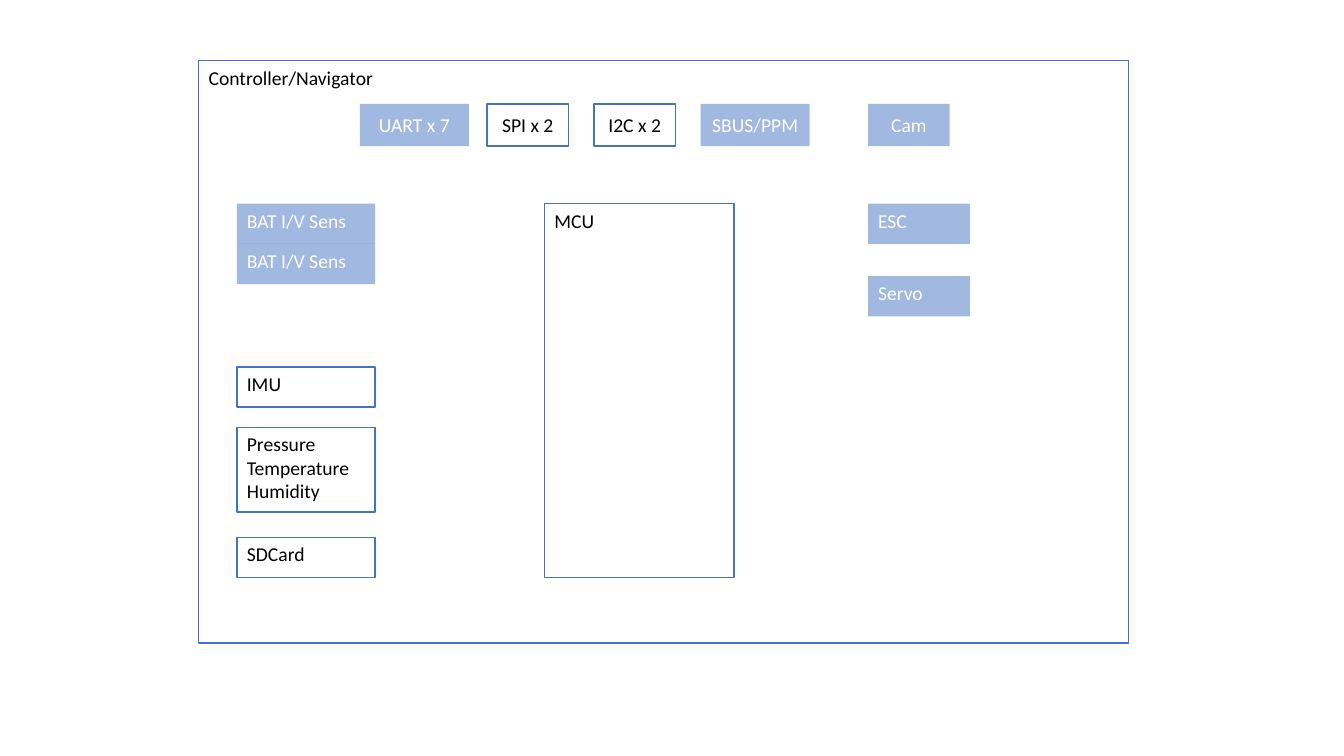
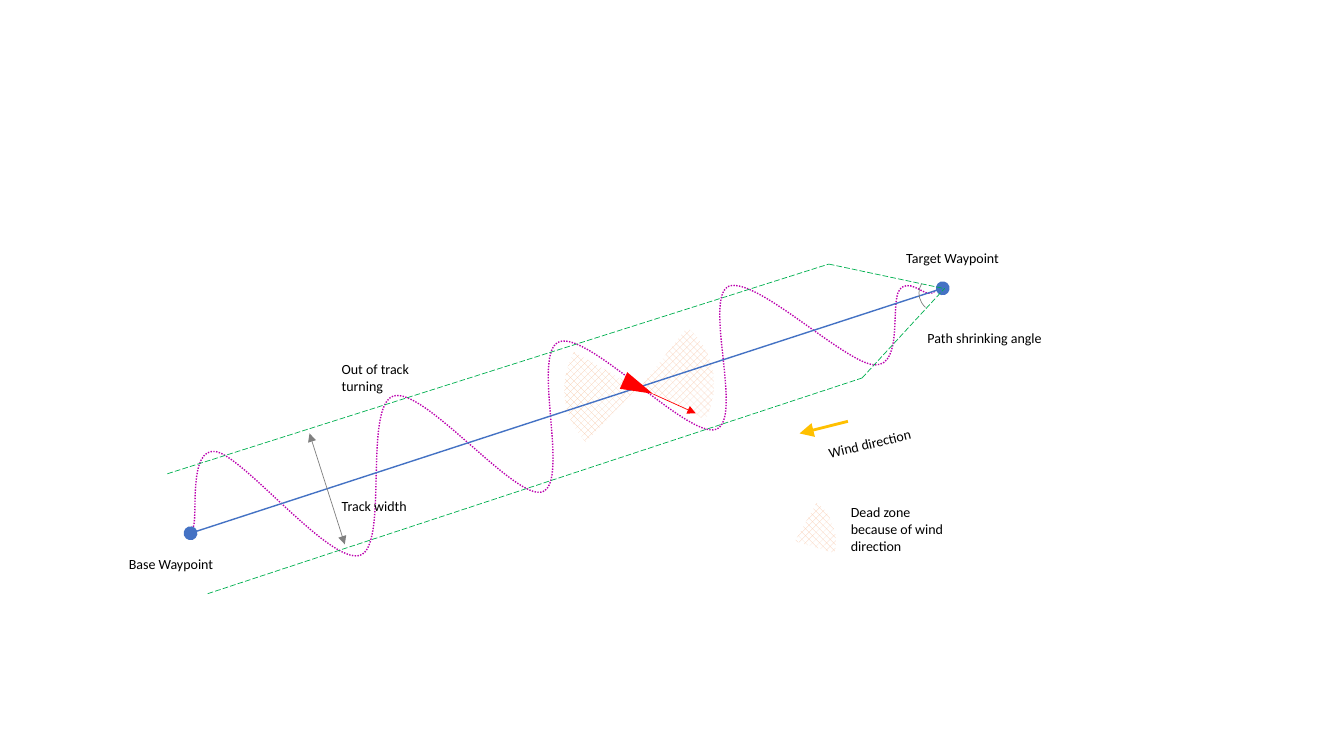
from lxml import etree
from pptx import Presentation
from pptx.dml.color import RGBColor
from pptx.enum.dml import MSO_LINE, MSO_PATTERN
from pptx.enum.shapes import MSO_CONNECTOR, MSO_SHAPE
from pptx.enum.text import MSO_ANCHOR, MSO_AUTO_SIZE, PP_ALIGN
from pptx.oxml.ns import qn
from pptx.util import Pt

PX = 9144  # 100 px to the inch
FONT = "Calibri"
BLUE, WHITE, BLACK = "4472C4", "FFFFFF", "000000"
GREEN, GRAY, RED, AMBER, PURPLE, PEACH = "00B050", "808080", "FF0000", "FFC000", "BC02AF", "F8CBAD"

# Slide 1: (text, left, top, width, height, faded)
FRAMES = [("Controller/Navigator", 197, 60, 922, 578, False), ("MCU", 540, 202, 188, 371, False)]
PORT_TOP, PORT_H = 103, 42
PORTS = [  # text, left, width, faded
    ("UART x 7", 357, 108, True), ("SPI x 2", 483, 81, False), ("I2C x 2", 589, 81, False),
    ("SBUS/PPM", 695, 108, True), ("Cam", 861, 81, True),
]
UNIT_H = 40
COLUMNS = [  # left, width, [(text, top, height, faded)]
    (235, 137, [
        ("BAT I/V Sens", 242, UNIT_H, True), ("BAT I/V Sens", 202, UNIT_H, True),
        ("IMU", 364, UNIT_H, False), ("Pressure Temperature\nHumidity", 424, 84, False),
        ("SDCard", 533, UNIT_H, False),
    ]),
    (861, 101, [("ESC", 202, UNIT_H, True), ("Servo", 274, UNIT_H, True)]),
]

# Slide 2
BASE, TARGET = (189, 529), (935, 286)
UPPER_BEND, LOWER_BEND = (822, 262), (855, 375)
BORDERS = [
    ((166, 470), UPPER_BEND), ((206, 589), LOWER_BEND),
    (UPPER_BEND, TARGET), (LOWER_BEND, (937, 286)),
]
SAILED_START = (188, 528)
SAILED_CURVES = [  # two control points and an end point each
    ((187, 532), (187, 536), (192, 522)), ((196, 509), (187, 444), (214, 448)),
    ((242, 453), (327, 560), (357, 551)), ((386, 542), (360, 404), (390, 393)),
    ((420, 383), (511, 497), (538, 488)), ((566, 478), (526, 349), (555, 339)),
    ((584, 329), (682, 435), (710, 426)), ((738, 417), (697, 295), (723, 284)),
    ((750, 274), (840, 362), (868, 362)), ((896, 363), (883, 300), (892, 288)),
    ((900, 276), (915, 291), (921, 291)), ((927, 291), (927, 289), (927, 288)),
]
WEDGES = [  # box, rotation, adjustments
    ((564, 309, 144, 148), 20.6, (172.47, 4.34)),
    ((560, 311, 144, 148), 20.6, (67.8, 113.5)),
]
LEGEND_WEDGE = ((748, 492, 81, 90), 0, (179.67, 10.04))
LEGEND_LABEL = ("Dead zone because of wind direction", 834, 495, 125, 61, True, 0)
LABELS = [  # text, left, top, width, height, wrap, rotation
    ("Base Waypoint", 118, 546, 106, 27, False, 0),
    ("Target Waypoint", 889, 243, 116, 27, False, 0),
    ("Wind direction", 811, 426, 107, 27, True, 346.3),
    ("Track width", 329, 489, 87, 27, False, 0),
    ("Path shrinking angle", 910, 322, 155, 27, True, 0),
    ("Out of track\nturning", 329, 353, 88, 44, False, 0),
]


def px(*values):
    return [v * PX for v in values]


def rgb(color):
    return RGBColor.from_string(color)


def stroke(line, color, width, dash=None):
    line.color.rgb = rgb(color)
    line.width = Pt(width)
    if dash:
        line.dash_style = dash


def write(tf, text, size, color, align=PP_ALIGN.LEFT):
    """Put each line of text in a paragraph of its own."""
    for i, words in enumerate(text.split("\n")):
        p = tf.paragraphs[0] if i == 0 else tf.add_paragraph()
        p.alignment = align
        r = p.add_run()
        r.text = words
        r.font.name, r.font.size = FONT, Pt(size)
        r.font.color.rgb = rgb(color)


def add_block(shapes, text, left, top, width, height, faded, centred=False):
    """Faded blocks are half-transparent blue, the others outlined white."""
    sp = shapes.add_shape(MSO_SHAPE.RECTANGLE, *px(left, top, width, height))
    sp.shadow.inherit = False
    sp.fill.solid()
    sp.fill.fore_color.rgb = rgb(BLUE if faded else WHITE)
    if faded:
        tint = sp.element.spPr.find(qn("a:solidFill"))[0]
        etree.SubElement(tint, qn("a:alpha")).set("val", "50000")
        sp.line.fill.background()
    else:
        stroke(sp.line, BLUE, 1)
    tf = sp.text_frame
    tf.word_wrap = True
    tf.vertical_anchor = MSO_ANCHOR.MIDDLE if centred else MSO_ANCHOR.TOP
    write(tf, text, 14, WHITE if faded else BLACK, PP_ALIGN.CENTER if centred else PP_ALIGN.LEFT)


def add_figure(shapes, kind, box, rotation, adjustments):
    sp = shapes.add_shape(kind, *px(*box))
    sp.shadow.inherit = False
    sp.rotation = rotation
    for i, value in enumerate(adjustments):
        sp.adjustments[i] = value
    return sp


def add_wedge(shapes, box, rotation, adjustments):
    sp = add_figure(shapes, MSO_SHAPE.PIE, box, rotation, adjustments)
    sp.fill.patterned()
    sp.fill.pattern = MSO_PATTERN.PERCENT_50
    sp.fill.fore_color.rgb = rgb(PEACH)
    sp.fill.back_color.rgb = rgb(WHITE)
    sp.line.fill.background()


def add_line(shapes, start, end, color, width, dash=None, head=None, tail=None, size="med"):
    c = shapes.add_connector(MSO_CONNECTOR.STRAIGHT, *px(*start, *end))
    stroke(c.line, color, width, dash)
    spPr = c.element.spPr
    ln = spPr.find(qn("a:ln"))
    for tag, kind in (("a:headEnd", head), ("a:tailEnd", tail)):
        if kind:
            mark = etree.SubElement(ln, qn(tag))
            for name, value in (("type", kind), ("w", size), ("len", size)):
                mark.set(name, value)
    etree.SubElement(spPr, qn("a:effectLst"))


def add_label(shapes, text, left, top, width, height, wrap, rotation):
    tb = shapes.add_textbox(*px(left, top, width, height))
    tb.rotation = rotation
    tf = tb.text_frame
    tf.word_wrap = wrap
    tf.auto_size = MSO_AUTO_SIZE.SHAPE_TO_FIT_TEXT
    write(tf, text, 10, BLACK)


def add_curve(shapes, start, curves):
    """Build a freeform, then turn every three line segments into one Bezier curve."""
    builder = shapes.build_freeform(*start, scale=PX)
    builder.add_line_segments([point for curve in curves for point in curve], close=False)
    sp = builder.convert_to_shape()
    sp.shadow.inherit = False
    sp.fill.background()
    stroke(sp.line, PURPLE, 1, MSO_LINE.ROUND_DOT)
    segments = list(sp.element.iter(qn("a:lnTo")))
    for i in range(0, len(segments), 3):
        bezier = etree.Element(qn("a:cubicBezTo"))
        segments[i].addprevious(bezier)
        for segment in segments[i:i + 3]:
            bezier.append(segment[0])
            segment.getparent().remove(segment)


def build_controller(s):
    for frame in FRAMES:
        add_block(s.shapes, *frame)
    for text, left, width, faded in PORTS:
        add_block(s.shapes, text, left, PORT_TOP, width, PORT_H, faded, centred=True)
    for left, width, units in COLUMNS:
        for text, top, height, faded in units:
            add_block(s.shapes, text, left, top, width, height, faded)


def build_track(s):
    shapes = s.shapes
    add_curve(shapes, SAILED_START, SAILED_CURVES)
    dead_zone = shapes.add_group_shape().shapes
    for wedge in WEDGES:
        add_wedge(dead_zone, *wedge)
    add_line(shapes, BASE, TARGET, BLUE, 1, head="oval", tail="oval", size="lg")

    boat = shapes.add_group_shape().shapes
    hull = add_figure(boat, MSO_SHAPE.ISOSCELES_TRIANGLE, (624, 368, 18, 32), 114.1, [0.51])
    hull.fill.solid()
    hull.fill.fore_color.rgb = rgb(RED)
    hull.line.fill.background()
    add_line(boat, (648, 391), (690, 410), RED, 0.5, tail="triangle")

    for start, end in BORDERS:
        add_line(shapes, start, end, GREEN, 0.5, MSO_LINE.LONG_DASH)
    add_line(shapes, (841, 418), (793, 430), AMBER, 2, tail="triangle", size="lg")
    add_line(shapes, (307, 430), (342, 540), GRAY, 0.5, head="triangle", tail="triangle")

    legend = shapes.add_group_shape().shapes
    add_wedge(legend, *LEGEND_WEDGE)
    add_label(legend, *LEGEND_LABEL)
    for label in LABELS:
        add_label(shapes, *label)
    angle = add_figure(shapes, MSO_SHAPE.ARC, (911, 274, 39, 36), 211.8, (169.5, 0))
    angle.fill.background()
    stroke(angle.line, GRAY, 0.5)


def main():
    prs = Presentation()
    prs.slide_width, prs.slide_height = px(1333, 750)
    for build in (build_controller, build_track):
        build(prs.slides.add_slide(prs.slide_layouts[6]))
    prs.save("out.pptx")


if __name__ == "__main__":
    main()
